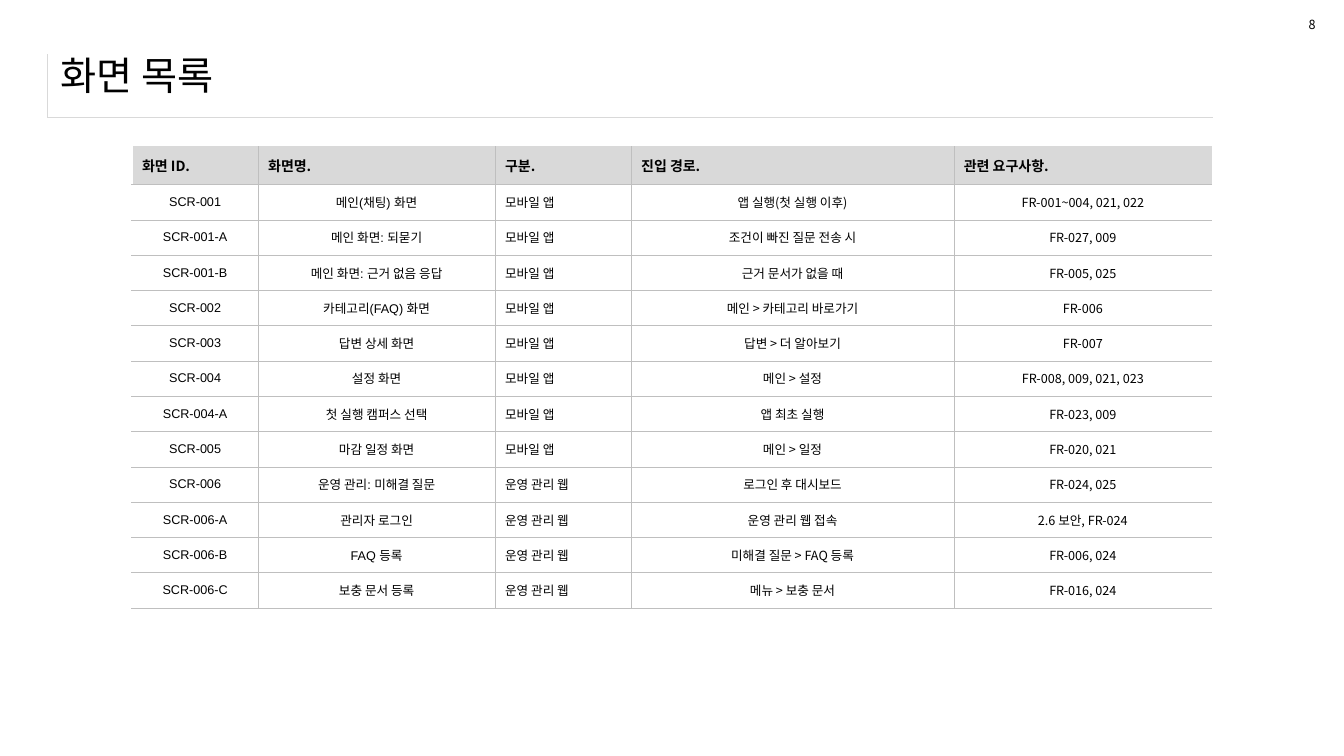
from lxml import etree
from pptx import Presentation
from pptx.dml.color import RGBColor
from pptx.enum import text as t
from pptx.oxml import ns
from pptx.util import Inches, Pt

HUES = {"ink": "000000", "head": "D9D9D9", "rule": "BFBFBF", "white": "FFFFFF"}
SANS, LATIN = "Noto Sans CJK KR", "Arial"
APP, WEB = "모바일 앱", "운영 관리 웹"
HEADS = ["화면 ID.", "화면명.", "구분.", "진입 경로.", "관련 요구사항."]
ROWS = [
    ["SCR-001", "메인(채팅) 화면", APP, "앱 실행(첫 실행 이후)", "FR-001~004, 021, 022"],
    ["SCR-001-A", "메인 화면: 되묻기", APP, "조건이 빠진 질문 전송 시", "FR-027, 009"],
    ["SCR-001-B", "메인 화면: 근거 없음 응답", APP, "근거 문서가 없을 때", "FR-005, 025"],
    ["SCR-002", "카테고리(FAQ) 화면", APP, "메인 > 카테고리 바로가기", "FR-006"],
    ["SCR-003", "답변 상세 화면", APP, "답변 > 더 알아보기", "FR-007"],
    ["SCR-004", "설정 화면", APP, "메인 > 설정", "FR-008, 009, 021, 023"],
    ["SCR-004-A", "첫 실행 캠퍼스 선택", APP, "앱 최초 실행", "FR-023, 009"],
    ["SCR-005", "마감 일정 화면", APP, "메인 > 일정", "FR-020, 021"],
    ["SCR-006", "운영 관리: 미해결 질문", WEB, "로그인 후 대시보드", "FR-024, 025"],
    ["SCR-006-A", "관리자 로그인", WEB, "운영 관리 웹 접속", "2.6 보안, FR-024"],
    ["SCR-006-B", "FAQ 등록", WEB, "미해결 질문 > FAQ 등록", "FR-006, 024"],
    ["SCR-006-C", "보충 문서 등록", WEB, "메뉴 > 보충 문서", "FR-016, 024"],
]
WIDTHS = [1.25, 2.35, 1.35, 3.2, 2.56]


def style(para, size, face=SANS, bold=False):
    for run in para.runs:
        font = run.font
        font.size, font.name, font.bold = Pt(size), face, bold
        font.color.rgb = RGBColor.from_string(HUES["ink"])
        east = etree.SubElement(font._element, ns.qn("a:ea"))
        east.set("typeface", SANS)


def edge(cell, lines):
    props = cell._tc.get_or_add_tcPr()
    for side in "LRTB":
        line = etree.SubElement(props, ns.qn(f"a:ln{side}"))
        if side in lines:
            hue, width = lines[side]
            line.set("w", str(Pt(width)))
            fill = etree.SubElement(line, ns.qn("a:solidFill"))
            etree.SubElement(fill, ns.qn("a:srgbClr")).set("val", HUES[hue])
        else:
            etree.SubElement(line, ns.qn("a:noFill"))


deck = Presentation()
deck.slide_width, deck.slide_height = Inches(13.33), Inches(7.5)
slide = deck.slides.add_slide(deck.slide_layouts[5])

frame = slide.shapes.add_table(
    1, 1, Inches(0.47), Inches(0.54), Inches(11.56), Inches(0.62)).table
frame.first_row = frame.horz_banding = False
edge(frame.cell(0, 0), {"L": ("head", 0.25), "B": ("head", 0.25)})
frame.cell(0, 0).fill.background()

title = slide.shapes.title
title.left, title.top = Inches(0.5), Inches(0.41)
title.width, title.height = Inches(12.49), Inches(0.67)
body = title.text_frame
body.text = "화면 목록"
body.auto_size = t.MSO_AUTO_SIZE.NONE
body.vertical_anchor = t.MSO_ANCHOR.MIDDLE
body.paragraphs[0].alignment = t.PP_ALIGN.LEFT
style(body.paragraphs[0], 28)

page = slide.shapes.add_textbox(
    Inches(12.88), Inches(0.12), Inches(0.27), Inches(0.25)).text_frame
page.text = "8"
page.word_wrap = False
page.auto_size = t.MSO_AUTO_SIZE.SHAPE_TO_FIT_TEXT
style(page.paragraphs[0], 9)

grid = slide.shapes.add_table(
    len(ROWS) + 1, len(HEADS), Inches(1.31), Inches(1.45),
    Inches(sum(WIDTHS)), Inches(4.59)).table
grid.horz_banding = False
for col, width in zip(grid.columns, WIDTHS):
    col.width = Inches(width)

for r, row in enumerate([HEADS] + ROWS):
    grid.rows[r].height = Inches(0.35 if r else 0.38)
    for c, words in enumerate(row):
        cell = grid.cell(r, c)
        lines = {"L": ("rule", 0.25) if c else ("white", 1), "B": ("rule", 0.25)}
        if r:
            lines["T"] = ("rule", 0.25)
        if c < len(HEADS) - 1:
            lines["R"] = ("rule", 0.25)
        edge(cell, lines)
        if r:
            cell.fill.background()
        else:
            cell.fill.solid()
            cell.fill.fore_color.rgb = RGBColor.from_string(HUES["head"])
        cell.vertical_anchor = t.MSO_ANCHOR.MIDDLE
        para = cell.text_frame.paragraphs[0]
        para.text = words
        para.alignment = t.PP_ALIGN.CENTER if r and c != 2 else t.PP_ALIGN.LEFT
        style(para, 9 if r else 10, LATIN if r and c < 2 else SANS, r == 0)

deck.save("out.pptx")
